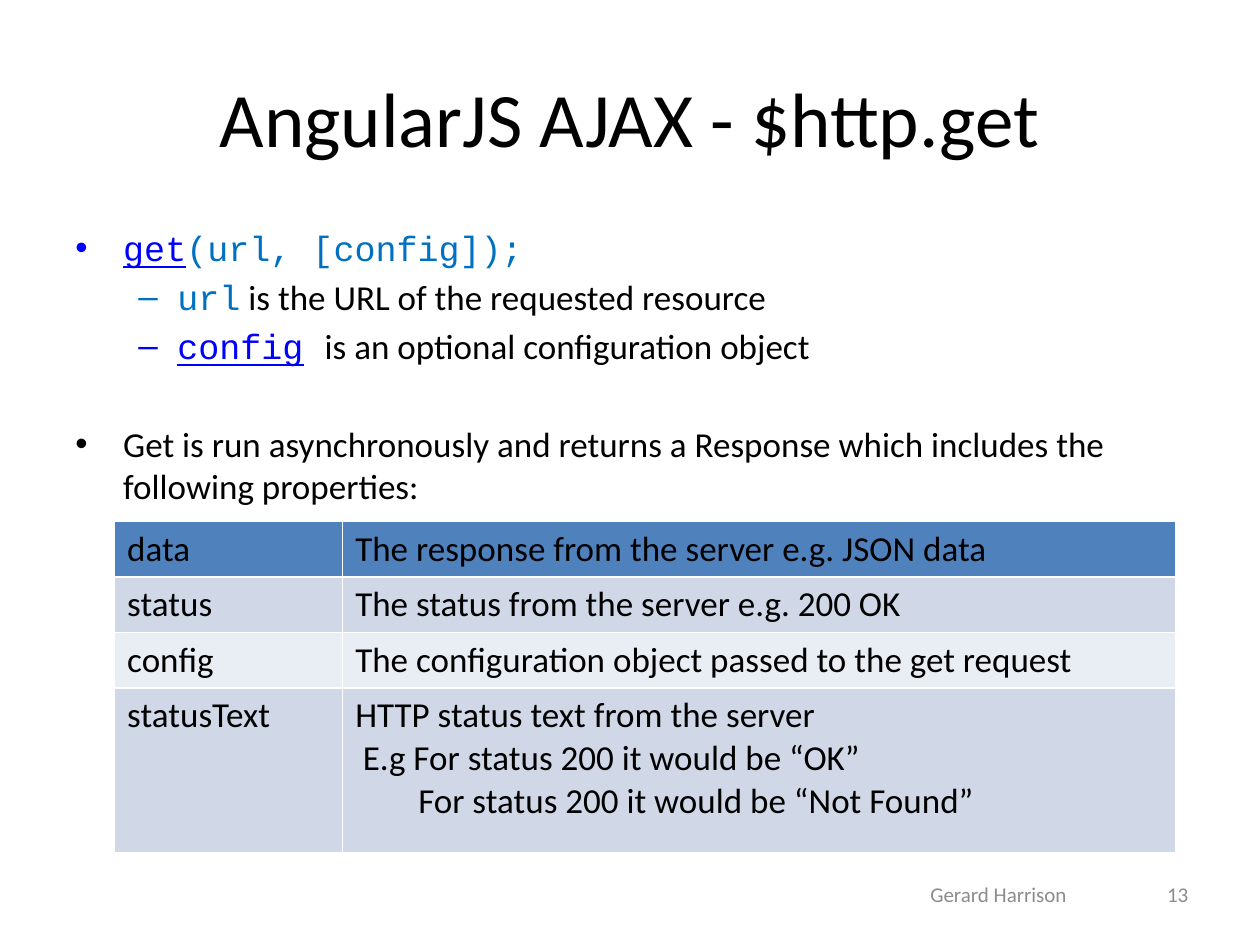
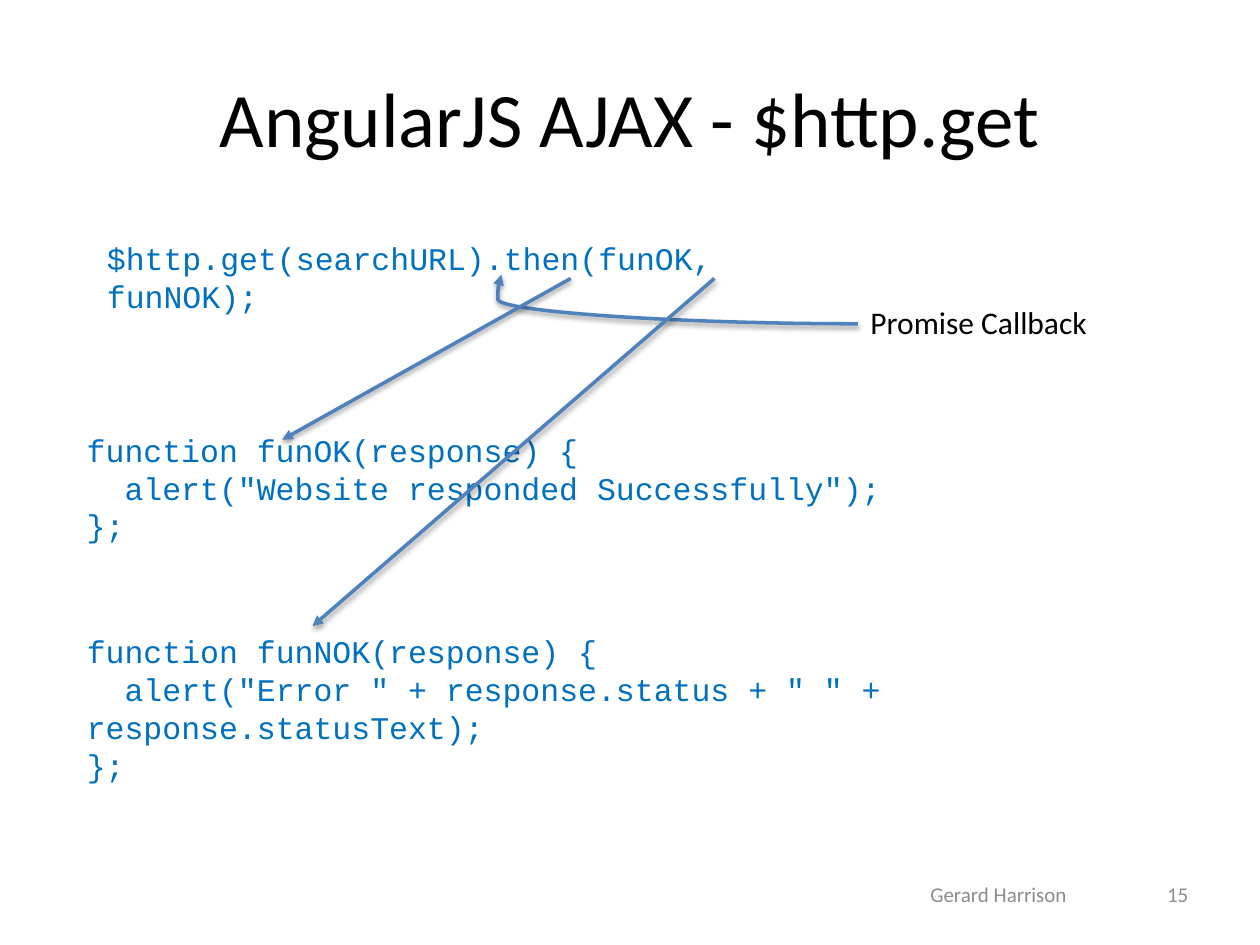
import pptx
import pptx.util
import pptx.dml.color
import pptx.enum.shapes
import pptx.enum.text
import pptx.oxml
import pptx.oxml.ns
import lxml.etree

Inches = pptx.util.Inches
Pt = pptx.util.Pt
Align = pptx.enum.text.PP_ALIGN
Anchor = pptx.enum.text.MSO_ANCHOR
Kind = pptx.enum.shapes.MSO_CONNECTOR
qn = pptx.oxml.ns.qn

COLORS = {
    "ink": "000000", "code": "0070C0", "link": "0000FF", "grey": "8C8C8C",
    "line": "4F81BD", "head": "4F81BD", "odd": "D0D8E8", "even": "E9EDF4",
}
SANS, MONO = "Calibri", "Courier New"
TITLE = "AngularJS\u00a0AJAX - $http.get"
CODE = dict(size=18, font=MONO, color="code")


def rgb(name):
    """Return the named colour."""
    return pptx.dml.color.RGBColor.from_string(COLORS[name])


def write(para, text, size=20, font=SANS, color="ink", under=False,
          align=None, left=0, first=0, before=0, bullet=None):
    """Add one formatted run to a paragraph and set the paragraph's layout."""
    run = para.add_run()
    run.text = text
    run.font.size, run.font.name = Pt(size), font
    run.font.bold, run.font.underline = False, under
    run.font.color.rgb = rgb(color)
    if align is not None:
        para.alignment = align
    if before:
        para.space_before = Pt(before)
    props = para._p.get_or_add_pPr()
    if left or first:
        props.set("marL", str(Inches(left)))
        props.set("indent", str(Inches(first)))
    if bullet:
        lxml.etree.SubElement(props, qn("a:buFont")).set("typeface", "Arial")
        lxml.etree.SubElement(props, qn("a:buChar")).set("char", bullet)


def line(frame, index):
    """Return the first paragraph of a frame, or a new one after it."""
    return frame.paragraphs[0] if index == 0 else frame.add_paragraph()


def box(slide, area, anchor=Anchor.TOP):
    """Add a wrapping text box and return its frame."""
    frame = slide.shapes.add_textbox(*map(Inches, area)).text_frame
    frame.word_wrap = True
    frame.vertical_anchor = anchor
    return frame


def start(deck, number):
    """Add a slide with the shared title and footer."""
    slide = deck.slides.add_slide(deck.slide_layouts[5])
    title = slide.shapes.title
    title.left, title.top, title.width, title.height = map(
        Inches, (0.5, 0.3, 9, 1.25))
    title.text_frame.vertical_anchor = Anchor.MIDDLE
    write(title.text_frame.paragraphs[0], TITLE, size=44, align=Align.CENTER)
    for text, left, width, align in (
            ("Gerard Harrison", 6.34, 3.17, Align.CENTER),
            (str(number), 7.2, 2.33, Align.RIGHT)):
        foot = box(slide, (left, 6.9, width, 0.4), Anchor.MIDDLE)
        write(foot.paragraphs[0], text, size=12, color="grey", align=align)
    return slide


def points(slide, area):
    """Place the bulleted description of the call."""
    top = dict(left=0.38, first=-0.38, bullet="\u2022")
    sub = dict(left=0.81, first=-0.31, bullet="\u2013", before=4)
    code = dict(font=MONO, color="code")
    link = dict(font=MONO, color="link", under=True)
    items = (
        (("get", dict(link, before=4, **top)), ("(url, [config]);", code)),
        (("url", dict(code, **sub)),
         (" is the URL of the requested resource", {})),
        (("config", dict(link, **sub)), (" ", code),
         ("is an optional configuration object", {})),
        (("Get is run asynchronously and returns a Response which includes "
          "the following properties:", dict(before=32, **top)),),
    )
    frame = box(slide, area)
    for i, runs in enumerate(items):
        para = line(frame, i)
        for text, style in runs:
            write(para, text, **style)


def fields(slide, area):
    """Place the table of response properties."""
    rows = (
        ("data", [("The response from the server e.g. JSON data", 0)]),
        ("status", [("The status from the server e.g. 200 OK", 0)]),
        ("config", [("The configuration object passed to the get request", 0)]),
        ("statusText", [
            ("HTTP status text from the server", 0),
            ("E.g For status 200 it would be \u201cOK\u201d", 0.06),
            ("For status 200 it would be \u201cNot Found\u201d", 0.5)]),
    )
    table = slide.shapes.add_table(len(rows), 2, *map(Inches, area)).table
    table.columns[0].width = Inches(1.81)
    table.columns[1].width = Inches(area[2] - 1.81)
    for r, (name, notes) in enumerate(rows):
        table.rows[r].height = Inches(0.44 if r < 3 else area[3] - 3 * 0.44)
        fill = "head" if r == 0 else "odd" if r % 2 else "even"
        for c, lines in enumerate(([(name, 0)], notes)):
            cell = table.cell(r, c)
            cell.fill.solid()
            cell.fill.fore_color.rgb = rgb(fill)
            for i, (text, left) in enumerate(lines):
                write(line(cell.text_frame, i), text, left=left)


def code(slide, area, lines):
    """Place lines of code, where each tab indents by two characters."""
    frame = box(slide, area)
    for i, text in enumerate(lines):
        write(line(frame, i), text.lstrip("\t"),
              first=0.3 * text.count("\t"), **CODE)


def arrow(slide, tail, tip, bend=None):
    """Draw a shadowed arrow, curved when a bend is given."""
    kind = Kind.CURVE if bend else Kind.STRAIGHT
    link = slide.shapes.add_connector(kind, *map(Inches, tail + tip))
    link.line.color.rgb = rgb("line")
    link.line.width = Pt(2)
    props = link._element.spPr
    lxml.etree.SubElement(link.line._get_or_add_ln(),
                          qn("a:tailEnd")).set("type", "triangle")
    if bend:
        guide = lxml.etree.SubElement(
            props.find(qn("a:prstGeom")).find(qn("a:avLst")), qn("a:gd"))
        guide.set("name", "adj1")
        guide.set("fmla", f"val {round(bend * 100000)}")
    effects = lxml.etree.SubElement(props, qn("a:effectLst"))
    shade = lxml.etree.SubElement(effects, qn("a:outerShdw"))
    for key, value in (("blurRad", Pt(3.1)), ("dist", Pt(1.6)),
                       ("dir", 5400000), ("rotWithShape", 0)):
        shade.set(key, str(int(value)))
    black = lxml.etree.SubElement(shade, qn("a:srgbClr"))
    black.set("val", COLORS["ink"])
    lxml.etree.SubElement(black, qn("a:alpha")).set("val", "38000")


def flow(slide, area):
    """Place the call, its two handlers and the arrows between them."""
    x, y, width, height = area
    code(slide, (x + 0.16, y, 5.83, 0.4),
         ["$http.get(searchURL).then(funOK, funNOK);"])
    code(slide, (x, y + 1.52, 6.77, 1.01), [
        "function funOK(response) {",
        "\talert(\"Website responded Successfully\");", "};"])
    code(slide, (x, y + 3.12, width, 1.01), [
        "function funNOK(response) {",
        "\talert(\"Error \" + response.status + \" \" + response.statusText);",
        "};"])
    label = box(slide, (x + 6.22, y + 0.51, 2.51, 0.4))
    write(label.paragraphs[0], "Promise Callback", size=18)
    for tail, tip, bend in (
            ((6.22, 0.72), (3.39, 0.33), 1.01),
            ((3.94, 0.36), (1.65, 1.64), None),
            ((5.08, 0.36), (1.89, 3.12), None)):
        arrow(slide, (x + tail[0], y + tail[1]), (x + tip[0], y + tip[1]), bend)


def main():
    """Build and save the slides."""
    deck = pptx.Presentation()
    deck.slide_width, deck.slide_height = Inches(10), Inches(7.5)
    slide = start(deck, 13)
    points(slide, (0.5, 1.75, 9, 4.95))
    fields(slide, (0.91, 4.14, 8.42, 2.63))
    flow(start(deck, 15), (0.59, 1.85, 8.98, 4.13))
    deck.save("out.pptx")


main()
